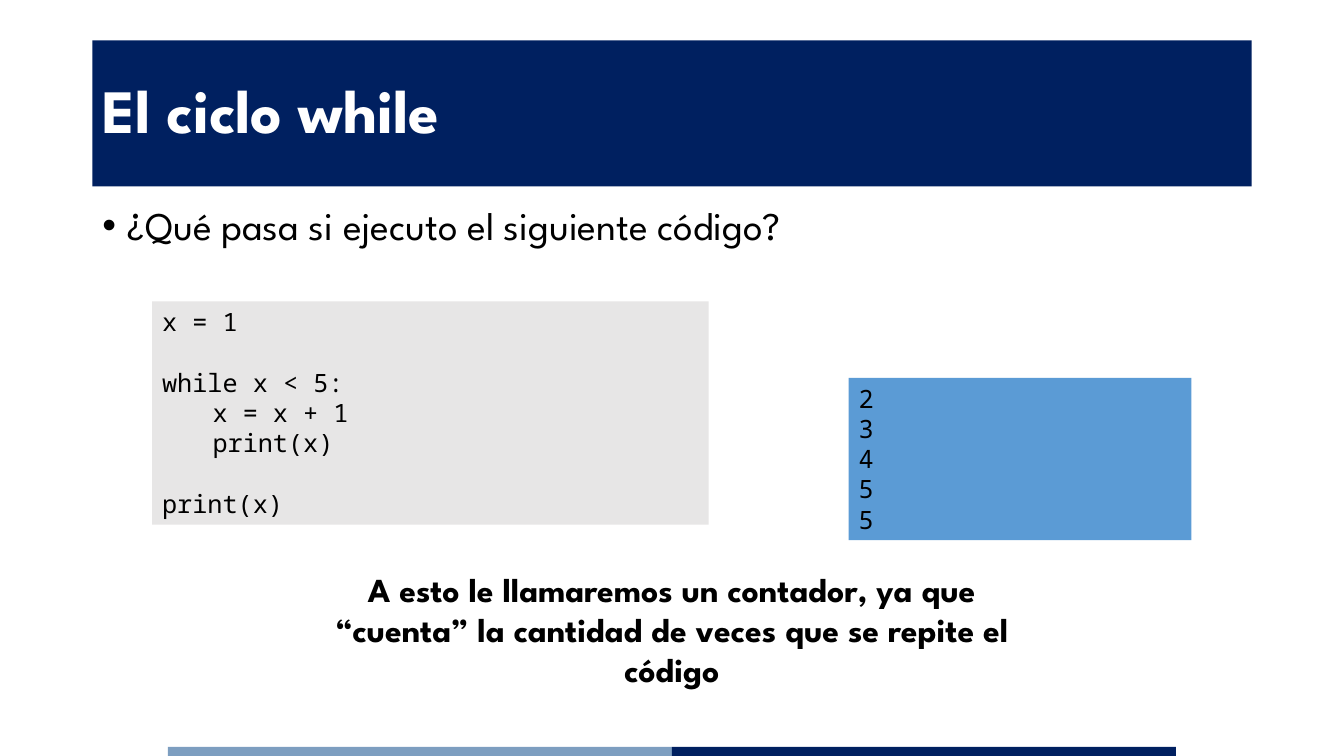
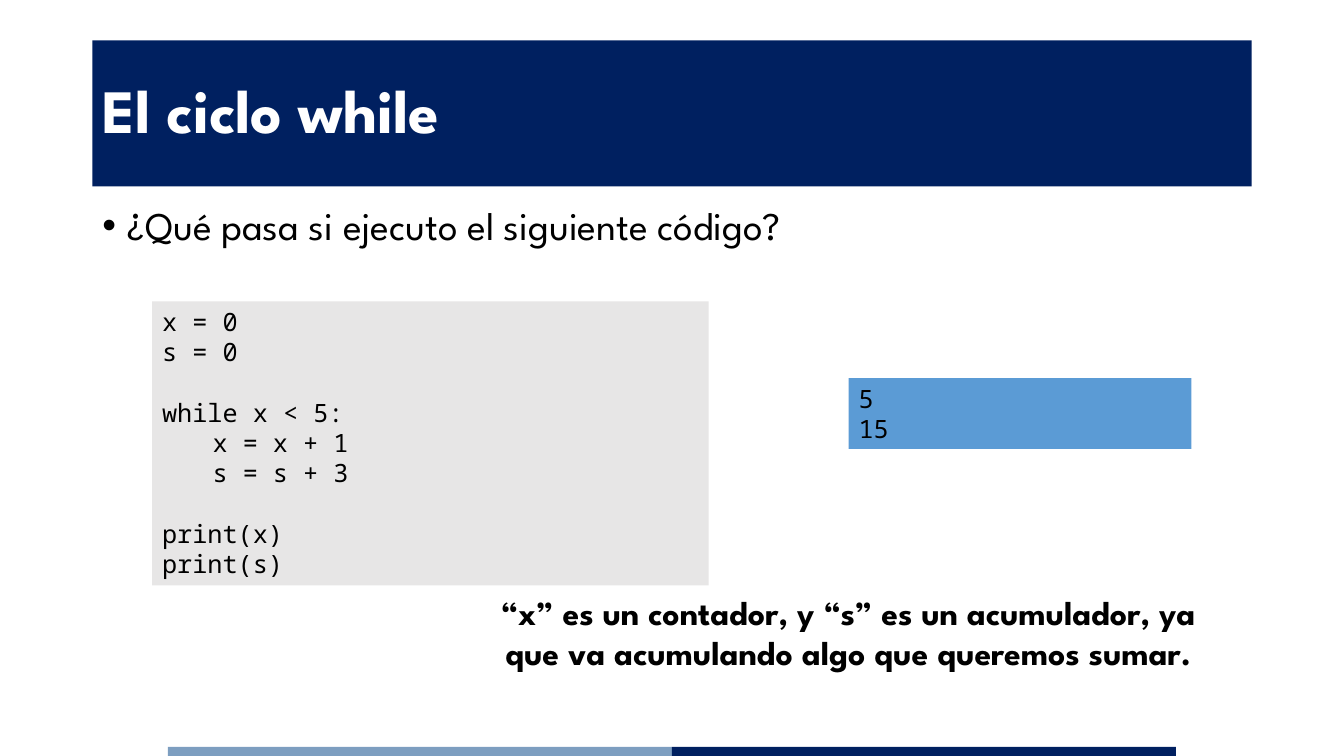
from collections import namedtuple

from pptx import Presentation
from pptx.dml.color import RGBColor
from pptx.enum.shapes import MSO_SHAPE as Preset
from pptx.enum.text import MSO_ANCHOR as Anchor, MSO_AUTO_SIZE as AutoSize, PP_ALIGN as Align
from pptx.util import Pt

Box = namedtuple("Box", "left top width height")

# Shared style
NAVY = RGBColor(0x00, 0x20, 0x60)
STEEL = RGBColor(0x7D, 0x9E, 0xC0)
GREY = RGBColor(0xE7, 0xE6, 0xE6)
BLUE = RGBColor(0x5B, 0x9B, 0xD5)
WHITE = RGBColor(0xFF, 0xFF, 0xFF)
BLACK = RGBColor(0x00, 0x00, 0x00)
TEXT_FONT = "League Spartan"
CODE_FONT = "Noto Sans Mono"
CODE_LINE = 21.75
CODE_PADDING = 3.6

# Shared places, in points
TITLE_BOX = Box(66, 28.8, 828, 104.4)
BODY_BOX = Box(66, 144, 828, 342.72)
FOOTER_BOX = Box(120, 533.5, 720, 6.5)
CODE_LEFT, CODE_TOP, CODE_WIDTH = 108.72, 215.28, 397.44
OUTPUT_LEFT, OUTPUT_TOP, OUTPUT_WIDTH = 606.24, 270, 244.8
NOTE_WIDTH, NOTE_HEIGHT = 542.16, 94.32

TITLE = "El ciclo while"
QUESTION = "¿Qué pasa si ejecuto el siguiente código?"

# Blocks of code are parted by one line of space
EXAMPLES = [
    dict(
        code=[["x = 1"], ["while x < 5:", "\tx = x + 1", "\tprint(x)"], ["print(x)"]],
        output=["2", "3", "4", "5", "5"],
        note="A esto le llamaremos un contador, ya que “cuenta” la cantidad "
             "de veces que se repite el código",
        note_at=(208.8, 402.48),
    ),
    dict(
        code=[["x = 0", "s = 0"], ["while x < 5:", "\tx = x + 1", "\ts = s + 3"],
              ["print(x)", "print(s)"]],
        output=["5", "15"],
        note="“x” es un contador, y “s” es un acumulador, ya que va acumulando "
             "algo que queremos sumar.",
        note_at=(334.8, 419.04),
    ),
]


def in_points(box):
    return [Pt(length) for length in box]


def place(shape, box):
    shape.left, shape.top, shape.width, shape.height = in_points(box)


def style(para, size, color=BLACK, name=TEXT_FONT, bold=False):
    font = para.font
    font.size, font.name, font.bold = Pt(size), name, bold
    font.color.rgb = color


def add_panel(page, box, color):
    panel = page.shapes.add_shape(Preset.RECTANGLE, *in_points(box))
    panel.shadow.inherit = False
    panel.fill.solid()
    panel.fill.fore_color.rgb = color
    panel.line.fill.background()
    return panel


def add_footer(master, page, box):
    """Draw the two-colour band and hand it to the master."""
    half = box.width / 2
    for index, color in enumerate((STEEL, NAVY)):
        bar = add_panel(page, Box(box.left + index * half, box.top, half, box.height), color)
        master.shapes.element.append(bar.element)


def fill_title(page, box):
    title = page.shapes.title
    place(title, box)
    title.fill.solid()
    title.fill.fore_color.rgb = NAVY
    frame = title.text_frame
    frame.text = TITLE
    frame.auto_size = AutoSize.NONE
    frame.vertical_anchor = Anchor.MIDDLE
    para = frame.paragraphs[0]
    para.alignment = Align.LEFT
    para.line_spacing = 0.9
    style(para, 44, WHITE, bold=True)


def fill_question(page, box):
    body = page.placeholders[1]
    place(body, box)
    frame = body.text_frame
    frame.text = QUESTION
    frame.auto_size = AutoSize.NONE
    para = frame.paragraphs[0]
    para.line_spacing = 0.9
    para.space_before = Pt(10)
    style(para, 28)
    # Hanging indent of the bullet
    properties = para._p.get_or_add_pPr()
    properties.set("marL", str(Pt(18)))
    properties.set("indent", str(-Pt(18)))


def add_code(page, left, top, width, blocks, color):
    """Monospaced panel whose height follows its number of lines."""
    line_count = sum(map(len, blocks)) + len(blocks) - 1
    height = 2 * CODE_PADDING + line_count * CODE_LINE
    frame = add_panel(page, Box(left, top, width, height), color).text_frame
    frame.word_wrap = True
    frame.vertical_anchor = Anchor.TOP
    frame.text = "\n".join(line for block in blocks for line in block)
    for para in frame.paragraphs:
        para.alignment = Align.LEFT
        style(para, 18, name=CODE_FONT)
    start = 0
    for block in blocks[:-1]:
        start += len(block)
        frame.paragraphs[start].space_before = Pt(CODE_LINE)


def add_note(page, box, text):
    frame = page.shapes.add_textbox(*in_points(box)).text_frame
    frame.word_wrap = True
    frame.text = text
    para = frame.paragraphs[0]
    para.alignment = Align.CENTER
    style(para, 24, bold=True)


def add_example(deck, code, output, note, note_at):
    page = deck.slides.add_slide(deck.slide_layouts[1])
    fill_title(page, TITLE_BOX)
    fill_question(page, BODY_BOX)
    add_code(page, CODE_LEFT, CODE_TOP, CODE_WIDTH, code, GREY)
    add_code(page, OUTPUT_LEFT, OUTPUT_TOP, OUTPUT_WIDTH, [output], BLUE)
    add_note(page, Box(*note_at, NOTE_WIDTH, NOTE_HEIGHT), note)
    return page


def main():
    deck = Presentation()
    deck.slide_width, deck.slide_height = Pt(960), Pt(540)
    pages = [add_example(deck, **example) for example in EXAMPLES]
    add_footer(deck.slide_master, pages[0], FOOTER_BOX)
    deck.save("out.pptx")


if __name__ == "__main__":
    main()
